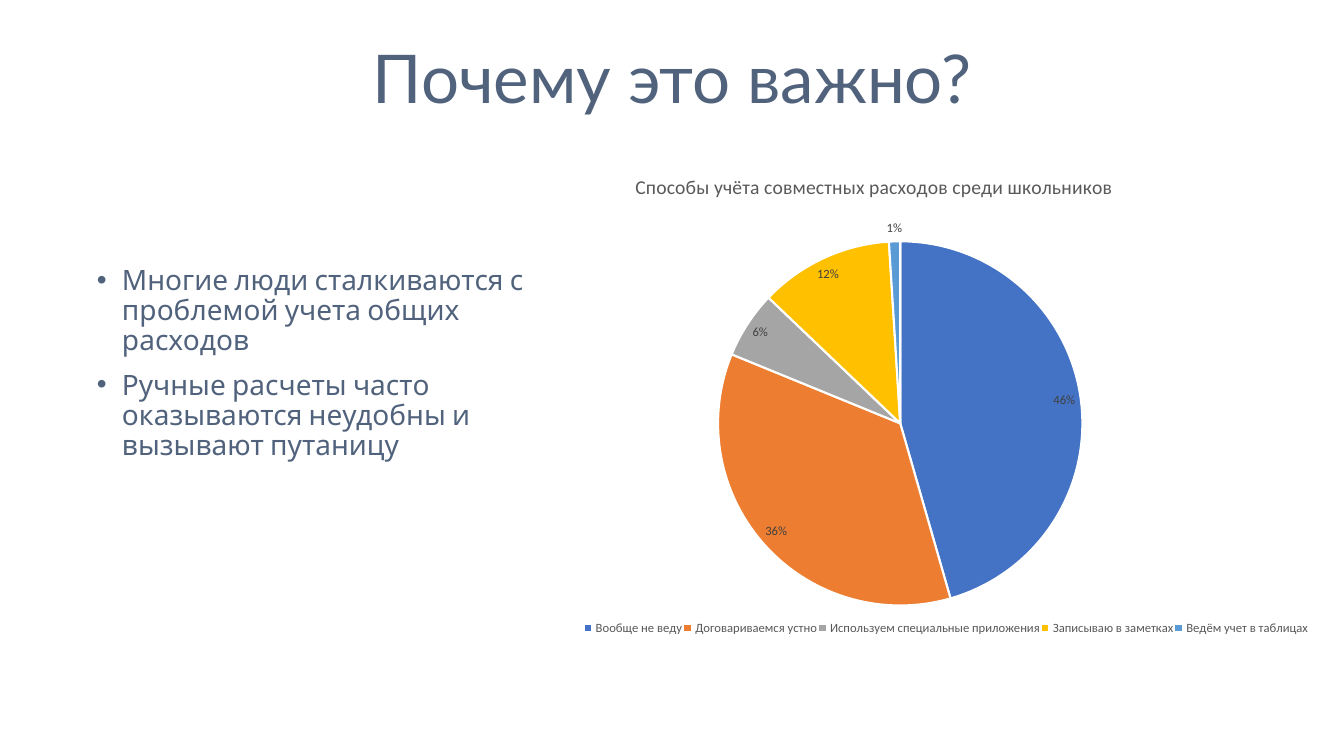
"""Build a slide with two bullet points beside a pie chart of survey answers."""
from typing import NamedTuple

from lxml import etree
from pptx import Presentation
from pptx.chart.data import CategoryChartData
from pptx.dml.color import RGBColor
from pptx.enum.chart import XL_CHART_TYPE, XL_LABEL_POSITION, XL_LEGEND_POSITION
from pptx.enum.text import MSO_ANCHOR, MSO_AUTO_SIZE, PP_ALIGN
from pptx.oxml.ns import qn
from pptx.util import Inches, Pt

PIE = XL_CHART_TYPE.PIE
BEST = XL_LABEL_POSITION.BEST_FIT
BOTTOM = XL_LEGEND_POSITION.BOTTOM
MIDDLE, TOP = MSO_ANCHOR.MIDDLE, MSO_ANCHOR.TOP
FIXED = MSO_AUTO_SIZE.NONE
LEFT, CENTER = PP_ALIGN.LEFT, PP_ALIGN.CENTER

WIDE, HIGH = Inches(13.33), Inches(7.5)
COLORS = {
    "slate": "50627C", "gray": "595959", "label": "404040", "white": "FFFFFF",
    "blue": "4472C4", "orange": "ED7D31", "silver": "A5A5A5",
    "gold": "FFC000", "sky": "5B9BD5",
}


class Box(NamedTuple):
    """Hold a place as percentages of the parent's size."""
    left: float
    top: float
    width: float
    height: float


class Slice(NamedTuple):
    """Hold one slice of the pie."""
    name: str
    value: int
    color: str


HEAD = Box(26.26, 1.2, 47.49, 19.33)
BODY = Box(6.45, 34.53, 34.66, 65.47)
CHART = Box(36.53, 20.53, 60.92, 65.47)
PARTS = {
    "title": Box(17.2, 3, 0, 0),
    "plotArea": Box(27.75, 17.4, 44.5, 73.6),
    "legend": Box(11.2, 93.5, 88.8, 4),
}
POINTS = [
    "Многие люди сталкиваются с проблемой учета общих расходов",
    "Ручные расчеты часто оказываются неудобны и вызывают путаницу",
]
SLICES = [
    Slice("Вообще не веду", 46, "blue"),
    Slice("Договариваемся устно", 36, "orange"),
    Slice("Используем специальные приложения", 6, "silver"),
    Slice("Записываю в заметках", 12, "gold"),
    Slice("Ведём учет в таблицах", 1, "sky"),
]


def rgb(name: str) -> RGBColor:
    """Look up a colour by name."""
    return RGBColor.from_string(COLORS[name])


def place(box: Box) -> list[int]:
    """Turn shares of the slide into lengths."""
    return [round(part * side / 100) for part, side in zip(box, (WIDE, HIGH) * 2)]


def style(font, *, face: str, size: float, color: str) -> None:
    """Format a font."""
    font.name, font.size, font.bold = face, Pt(size), False
    font.color.rgb = rgb(color)


def write(frame, lines: list[str], *, face: str, size: float, color: str,
          align=None, lead: float | None = None, gap: float = 0,
          indent: float = 0) -> None:
    """Fill a text frame with formatted paragraphs."""
    for i, line in enumerate(lines):
        para = frame.add_paragraph() if i else frame.paragraphs[0]
        run = para.add_run()
        run.text = line
        style(run.font, face=face, size=size, color=color)
        para.alignment, para.line_spacing = align, lead
        para.space_before = Pt(gap)
        if indent:
            props = para._p.get_or_add_pPr()
            props.set("marL", str(Inches(indent)))
            props.set("indent", str(-Inches(indent)))


def hold(shape, box: Box, anchor) -> None:
    """Move a placeholder and fix its frame."""
    shape.left, shape.top, shape.width, shape.height = place(box)
    frame = shape.text_frame
    frame.word_wrap, frame.auto_size = True, FIXED
    frame.vertical_anchor = anchor


def arrange(chart, tag: str, box: Box) -> None:
    """Give a part of the chart a manual layout."""
    part = next(chart.element.iter(qn(f"c:{tag}")))
    for old in part.findall(qn("c:layout")):
        part.remove(old)
    layout = etree.Element(qn("c:layout"))
    part.insert(0 if tag == "plotArea" else 1, layout)
    manual = etree.SubElement(layout, qn("c:manualLayout"))
    rules = {"xMode": "edge", "yMode": "edge"}
    if tag == "plotArea":
        rules = {"layoutTarget": "inner", **rules}
    rules |= {key: f"{num / 100:.4f}" for key, num in zip("xywh", box) if num}
    for key, val in rules.items():
        etree.SubElement(manual, qn(f"c:{key}")).set("val", val)


def draw_pie(slide) -> None:
    """Add the pie chart with its title, labels and legend."""
    data = CategoryChartData()
    data.categories = [item.name for item in SLICES]
    data.add_series("Series 1", [item.value for item in SLICES])
    chart = slide.shapes.add_chart(PIE, *place(CHART), data).chart
    style(chart.font, face="Calibri", size=10, color="gray")
    chart.has_title = chart.has_legend = True
    write(chart.chart_title.text_frame,
          ["Способы учёта совместных расходов среди школьников"],
          face="Calibri", size=14, color="gray")
    chart.chart_title.include_in_layout = False
    legend = chart.legend
    legend.position, legend.include_in_layout = BOTTOM, False
    style(legend.font, face="Calibri", size=9, color="gray")

    plot = chart.plots[0]
    plot.vary_by_categories = True
    plot.has_data_labels = True
    labels = plot.data_labels
    labels.show_percentage, labels.show_value = True, False
    labels.number_format, labels.number_format_is_linked = "0%", False
    labels.position = BEST
    style(labels.font, face="Calibri", size=9, color="label")
    for i, item in enumerate(SLICES):
        form = plot.series[0].points[i].format
        form.fill.solid()
        form.fill.fore_color.rgb = rgb(item.color)
        form.line.color.rgb = rgb("white")
        form.line.width = Pt(1.5)
    for tag, box in PARTS.items():
        arrange(chart, tag, box)


def main() -> None:
    """Build and save the slide."""
    deck = Presentation()
    deck.slide_width, deck.slide_height = WIDE, HIGH
    slide = deck.slides.add_slide(deck.slide_layouts[1])
    head, body = slide.shapes.title, slide.placeholders[1]
    hold(head, HEAD, MIDDLE)
    hold(body, BODY, TOP)
    write(head.text_frame, ["Почему это важно?"], face="Lato", size=48,
          color="slate", align=CENTER, lead=0.9)
    write(body.text_frame, POINTS, face="Cabin", size=20, color="slate",
          align=LEFT, lead=0.9, gap=10, indent=0.25)
    draw_pie(slide)
    deck.save("out.pptx")


if __name__ == "__main__":
    main()
